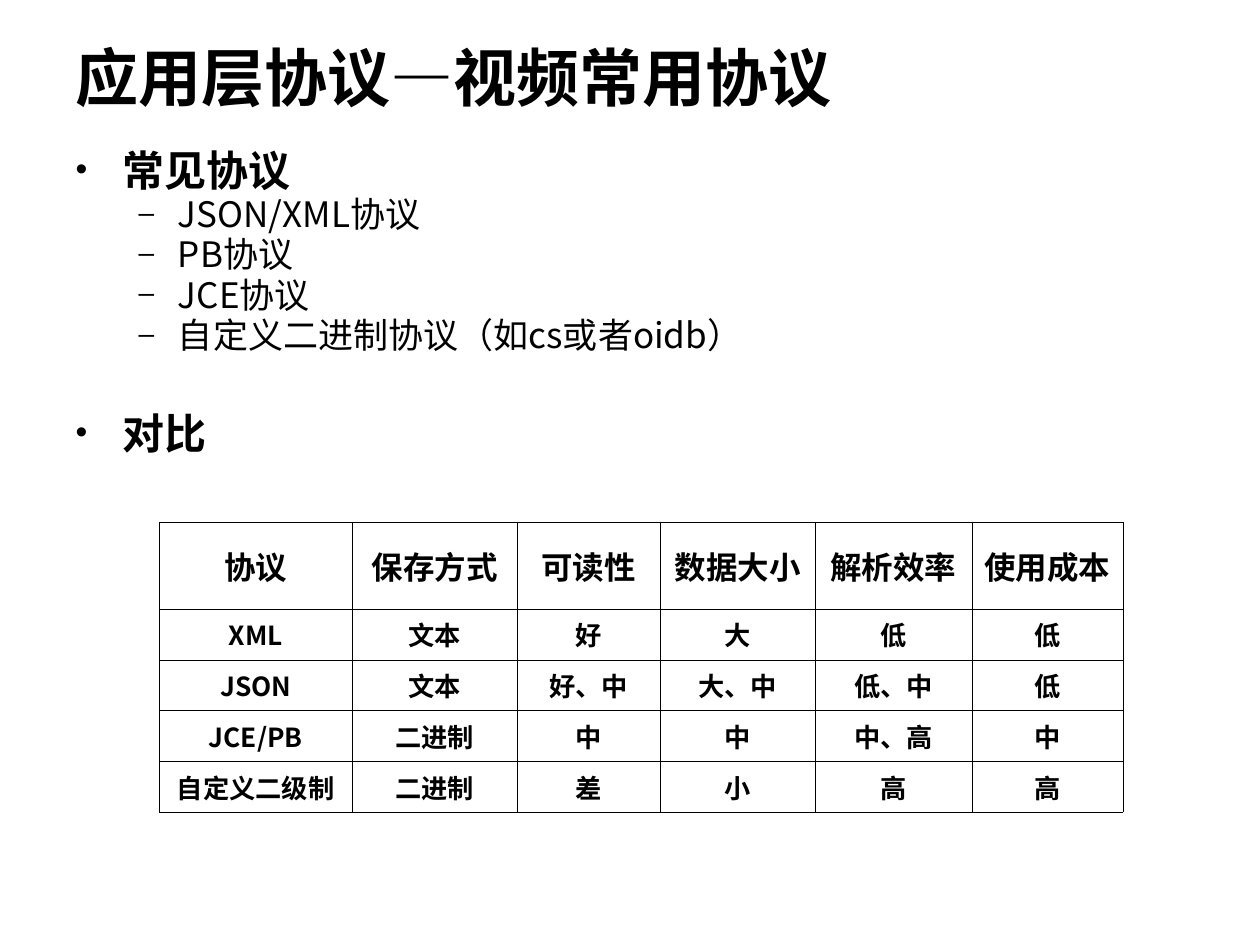
from dataclasses import dataclass

from lxml.etree import SubElement
from pptx import Presentation
from pptx.dml.color import RGBColor
from pptx.enum.text import MSO_ANCHOR, MSO_AUTO_SIZE, PP_ALIGN
from pptx.oxml.ns import qn
from pptx.util import Pt


@dataclass(frozen=True)
class Theme:
    font: str = "Noto Sans CJK SC"
    ink: str = "000000"
    paper: str = "FFFFFF"
    title: int = 36
    head: int = 24
    item: int = 20
    top: int = 18
    cell: int = 15
    rule: float = 0.23


THEME = Theme()

# Each group: heading, its items, space before the heading
GROUPS = [
    ("常见协议", ["JSON/XML协议", "PB协议", "JCE协议",
              "自定义二进制协议（如cs或者oidb）"], 0),
    ("对比", [], 37),
]
ROWS = [
    ["协议", "保存方式", "可读性", "数据大小", "解析效率", "使用成本"],
    ["XML", "文本", "好", "大", "低", "低"],
    ["JSON", "文本", "好、中", "大、中", "低、中", "低"],
    ["JCE/PB", "二进制", "中", "中", "中、高", "中"],
    ["自定义二级制", "二进制", "差", "小", "高", "高"],
]
WIDTHS = [110.3, 94.3, 81.6, 88.6, 89.6, 86.4]
HEIGHTS = [49.7] + [29] * 4


def style(para, size, bold):
    """Set one font for Latin and Chinese text alike."""
    font = para.font
    font.size, font.bold, font.name = Pt(size), bold, THEME.font
    font.color.rgb = RGBColor.from_string(THEME.ink)
    props = para._p.pPr.find(qn("a:defRPr"))
    SubElement(props, qn("a:ea"), typeface=THEME.font)


def place(shape, left, top, width, height):
    shape.left, shape.top = Pt(left), Pt(top)
    shape.width, shape.height = Pt(width), Pt(height)


def add_title(slide, text):
    title = slide.shapes.title
    place(title, 36, 15, 648, 57)
    frame = title.text_frame
    frame.text = text
    frame.auto_size = MSO_AUTO_SIZE.NONE
    frame.vertical_anchor = MSO_ANCHOR.MIDDLE
    para = frame.paragraphs[0]
    para.alignment = PP_ALIGN.LEFT
    style(para, THEME.title, True)


def add_line(para, text, level, space):
    para.text, para.level = text, level
    para.line_spacing, para.space_before = 0.75, Pt(space)
    props = para._p.get_or_add_pPr()
    color = SubElement(props, qn("a:buClr"))
    SubElement(color, qn("a:srgbClr"), val=THEME.ink)
    SubElement(props, qn("a:buSzPct"), val="80000")
    style(para, THEME.item if level else THEME.head, level == 0)


def add_list(slide, groups):
    body = slide.placeholders[1]
    place(body, 36, 85.5, 648, 356)
    frame = body.text_frame
    frame.auto_size = MSO_AUTO_SIZE.NONE
    para = frame.paragraphs[0]
    for count, (head, items, space) in enumerate(groups):
        if count:
            para = frame.add_paragraph()
        add_line(para, head, 0, space)
        for item in items:
            add_line(frame.add_paragraph(), item, 1, 5)


def add_rules(cell):
    """Draw a thin line on all four sides of a cell."""
    props = cell._tc.get_or_add_tcPr()
    for spot, side in enumerate(("lnL", "lnR", "lnT", "lnB")):
        line = SubElement(props, qn(f"a:{side}"), w=str(Pt(THEME.rule)))
        fill = SubElement(line, qn("a:solidFill"))
        SubElement(fill, qn("a:srgbClr"), val=THEME.ink)
        props.insert(spot, line)


def fill_cell(cell, text, size):
    cell.text = text
    cell.vertical_anchor = MSO_ANCHOR.MIDDLE
    cell.fill.solid()
    cell.fill.fore_color.rgb = RGBColor.from_string(THEME.paper)
    para = cell.text_frame.paragraphs[0]
    para.alignment = PP_ALIGN.CENTER
    style(para, size, True)
    add_rules(cell)


def add_grid(slide, rows):
    frame = slide.shapes.add_table(
        len(rows), len(rows[0]), Pt(91), Pt(298.3),
        Pt(sum(WIDTHS)), Pt(sum(HEIGHTS)))
    table = frame.table
    table.first_row = table.horz_banding = False
    for col, width in zip(table.columns, WIDTHS):
        col.width = Pt(width)
    for row, height in zip(table.rows, HEIGHTS):
        row.height = Pt(height)
    for r, texts in enumerate(rows):
        for c, text in enumerate(texts):
            fill_cell(table.cell(r, c), text, THEME.cell if r else THEME.top)


def main():
    deck = Presentation()
    deck.slide_width, deck.slide_height = Pt(720), Pt(540)
    slide = deck.slides.add_slide(deck.slide_layouts[1])
    # Heading and bullet list
    add_title(slide, "应用层协议—视频常用协议")
    add_list(slide, GROUPS)
    # Comparison of the protocols
    add_grid(slide, ROWS)
    deck.save("out.pptx")


if __name__ == "__main__":
    main()
